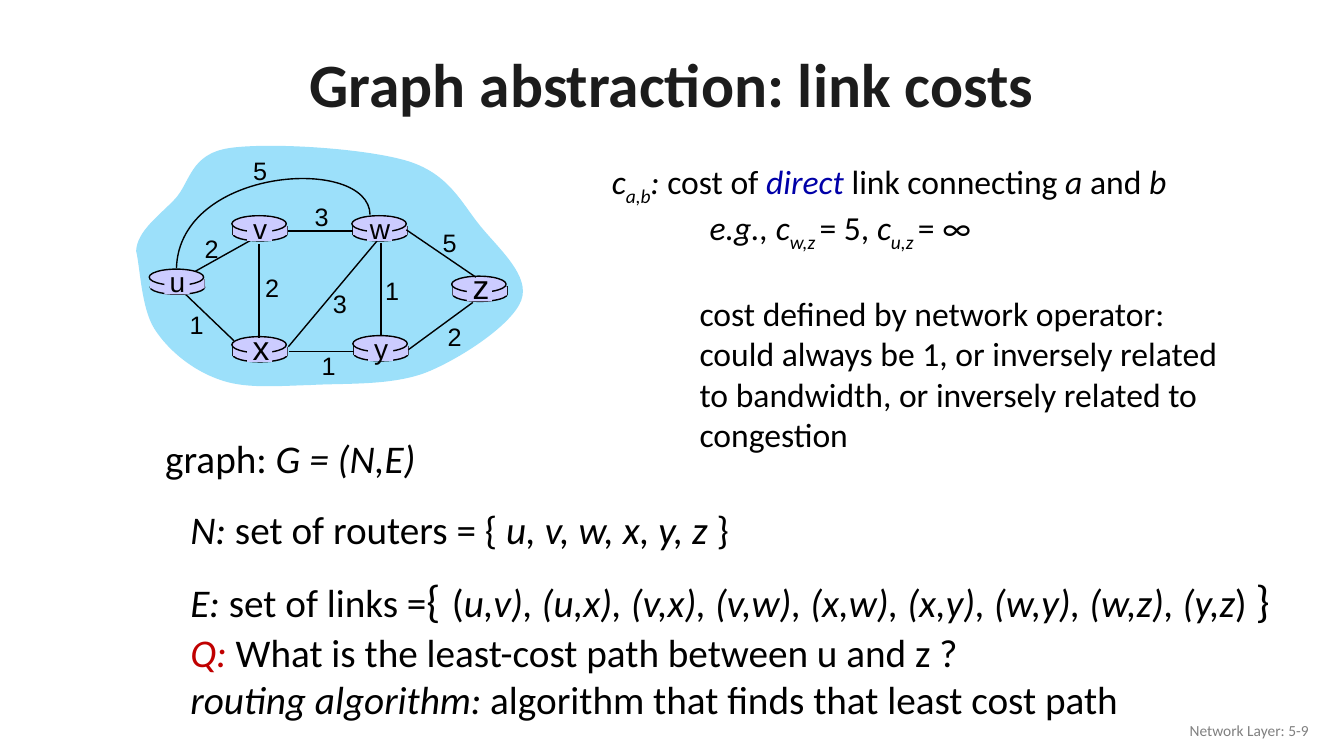
from lxml.etree import SubElement
from pptx import Presentation
from pptx.dml.color import RGBColor
from pptx.enum.shapes import MSO_CONNECTOR, MSO_SHAPE
from pptx.enum.text import MSO_ANCHOR, MSO_AUTO_SIZE, PP_ALIGN
from pptx.oxml.ns import qn
from pptx.util import Cm, Pt

COLORS = {
    "ink": "000000", "title": "1C1C1C", "footer": "808080", "cloud": "9CE0FA",
    "router": "CCCCFF", "direct": "0000A8", "question": "C00000",
}
ITALIC = {"italic": True}
SUB = {"italic": True, "baseline": -25000}
BODY = {"name": "Calibri", "size": Pt(28)}
NOTE = {"name": "Calibri", "size": Pt(24)}
COST = {"name": "Arial", "size": Pt(18)}

# Top left corner of each router, then the size and box width of its letter
ROUTERS = {
    "u": (1.48, 2.67, 20, 0.36), "y": (3.5, 3.33, 20, 0.34),
    "x": (2.3, 3.34, 24, 0.37), "w": (3.49, 2.14, 20, 0.4),
    "v": (2.3, 2.14, 20, 0.34), "z": (4.48, 2.74, 24, 0.37),
}
LINK_BEHIND = (1.94, 2.69, 2.53, 2.36)
LINKS = [
    (3.78, 2.41, 3.78, 3.32), (2.57, 2.42, 2.57, 3.35),
    (2.86, 3.44, 3.74, 2.39), (4.05, 3.47, 4.69, 3.0),
    (3.51, 3.49, 2.87, 3.49), (2.32, 3.38, 1.84, 2.92),
    (3.5, 2.29, 2.86, 2.29), (4.72, 2.75, 4.03, 2.28),
]
COSTS = [
    ("2", 1.93, 2.27), ("2", 2.53, 2.65), ("1", 1.78, 3.02), ("3", 3.2, 2.81),
    ("1", 3.09, 3.43), ("1", 3.72, 2.68), ("2", 4.34, 3.14), ("5", 4.29, 2.21),
    ("3", 3.02, 1.95), ("5", 2.41, 1.49),
]
# Each curve is two control points and an end
CLOUD_START = (1.35, 2.49)
CLOUD_CURVES = [
    (1.36, 2.29, 1.58, 2.14, 1.74, 1.97), (1.89, 1.8, 1.89, 1.53, 2.27, 1.47),
    (2.66, 1.41, 3.63, 1.47, 4.05, 1.6), (4.46, 1.73, 4.58, 2.02, 4.77, 2.25),
    (4.96, 2.48, 5.26, 2.74, 5.17, 2.98), (5.08, 3.22, 4.58, 3.55, 4.24, 3.69),
    (3.89, 3.83, 3.42, 3.8, 3.08, 3.82), (2.73, 3.83, 2.42, 3.86, 2.16, 3.76),
    (1.91, 3.67, 1.67, 3.48, 1.53, 3.26), (1.4, 3.05, 1.39, 2.65, 1.35, 2.49),
]
ARC_START = (3.67, 2.13)
ARC_CURVES = [(3.66, 1.54, 1.78, 1.65, 1.75, 2.66)]


def inches(*values):
    """Lengths in inches, given as centimetres."""
    return [Cm(value * 2.54) for value in values]


def rgb(name):
    return RGBColor.from_string(COLORS[name])


def paint(shape, fill=None, line=None):
    shape.shadow.inherit = False
    if fill:
        shape.fill.solid()
        shape.fill.fore_color.rgb = rgb(fill)
    else:
        shape.fill.background()
    if line:
        shape.line.color.rgb = rgb(line)
        shape.line.width = Pt(1)
    else:
        shape.line.fill.background()


def add_preset(shapes, preset, box, fill, line=None):
    paint(shapes.add_shape(preset, *inches(*box)), fill, line)


def add_link(shapes, ends):
    link = shapes.add_connector(MSO_CONNECTOR.STRAIGHT, *inches(*ends))
    link.line.color.rgb = rgb("ink")
    link.line.width = Pt(1)
    SubElement(link._element.spPr, qn("a:effectLst"))


def add_curve(shapes, start, curves, close, fill=None, line=None):
    """Outline whose points, taken three at a time, become cubic curves."""
    points = [inches(*curve[i:i + 2]) for curve in curves for i in (0, 2, 4)]
    builder = shapes.build_freeform(*inches(*start), scale=1.0)
    builder.add_line_segments(points, close=close)
    outline = builder.convert_to_shape()
    segments = list(outline._element.iter(qn("a:lnTo")))
    for first in range(0, len(points), 3):
        cubic = segments[first].makeelement(qn("a:cubicBezTo"))
        segments[first].addprevious(cubic)
        for segment in segments[first:first + 3]:
            cubic.append(segment[0])
            segment.getparent().remove(segment)
    paint(outline, fill, line)


def add_text(shapes, box, paragraphs, style, align=PP_ALIGN.LEFT,
             anchor=MSO_ANCHOR.TOP, wrap=True):
    """Text box; each paragraph is a list of (text, run style) pairs."""
    frame = shapes.add_textbox(*inches(*box)).text_frame
    frame.word_wrap = wrap
    frame.vertical_anchor = anchor
    if not wrap:
        frame.auto_size = MSO_AUTO_SIZE.SHAPE_TO_FIT_TEXT
    for index, runs in enumerate(paragraphs):
        paragraph = frame.add_paragraph() if index else frame.paragraphs[0]
        paragraph.alignment = align
        for text, extra in runs:
            run = paragraph.add_run()
            run.text = text
            formats = {"color": "ink", **style, **extra}
            run.font.color.rgb = rgb(formats.pop("color"))
            if "baseline" in formats:
                run.font._element.set("baseline", str(formats.pop("baseline")))
            for attribute, value in formats.items():
                setattr(run.font, attribute, value)
    return frame.paragraphs


def add_router(shapes, left, top):
    side = left + 0.01
    add_preset(shapes, MSO_SHAPE.OVAL, (side, top + 0.11, 0.54, 0.14), "router", "ink")
    for x in (side, side + 0.54):
        add_link(shapes, (x, top + 0.1, x, top + 0.19))
    add_preset(shapes, MSO_SHAPE.RECTANGLE, (side, top + 0.1, 0.54, 0.09), "router")
    add_preset(shapes, MSO_SHAPE.OVAL, (left, top, 0.54, 0.16), "router", "ink")


def add_letter(shapes, letter, left, top, size, width):
    add_preset(shapes, MSO_SHAPE.RECTANGLE, (left + 0.15, top + 0.02, 0.25, 0.23), "router")
    middle, rise, height = (0.29, 0.15, 0.5) if size == 24 else (0.28, 0.09, 0.43)
    add_text(shapes, (left + middle - width / 2, top - rise, width, height),
             [[(letter, {})]], {"name": "Arial", "size": Pt(size)},
             PP_ALIGN.CENTER, wrap=False)


def add_network(shapes):
    add_curve(shapes, CLOUD_START, CLOUD_CURVES, True, fill="cloud")
    add_link(shapes, LINK_BEHIND)
    for left, top, *_ in ROUTERS.values():
        add_router(shapes, left, top)
    for ends in LINKS:
        add_link(shapes, ends)
    add_curve(shapes, ARC_START, ARC_CURVES, False, line="ink")
    for letter, place in ROUTERS.items():
        add_letter(shapes, letter, *place)
    for cost, left, top in COSTS:
        add_text(shapes, (left, top, 0.34, 0.4), [[(cost, {})]], COST,
                 PP_ALIGN.CENTER, wrap=False)


def add_cost_notes(shapes):
    _, example, operator = add_text(shapes, (5.97, 1.55, 6.44, 2.93), [
        [("c", ITALIC), ("a,b", SUB), (": ", ITALIC), ("cost of ", {}),
         ("direct", {**ITALIC, "color": "direct"}), (" link connecting ", {}),
         ("a", ITALIC), (" and ", {}), ("b", ITALIC)],
        [("e.g., c", ITALIC), ("w,z ", SUB), ("= 5, ", {}),
         ("c", ITALIC), ("u,z ", SUB), ("= ∞", {})],
        [("cost defined by network operator: could always be 1, or inversely "
          "related to bandwidth, or inversely related to congestion", {})],
    ], NOTE)
    for paragraph, indent in ((example, 0.97), (operator, 0.87)):
        paragraph._p.get_or_add_pPr().set("marL", str(inches(indent)[0]))
    operator.space_before = Pt(28.5)


def add_definitions(shapes):
    brace = {"size": Pt(32)}
    add_text(shapes, (1.54, 4.26, 2.71, 1.04),
             [[("graph: ", {}), ("G = (N,E)", ITALIC)]], BODY)
    add_text(shapes, (1.79, 4.96, 5.59, 0.57), [
        [("N: ", ITALIC), ("set of routers = { ", {}),
         ("u, v, w, x, y, z ", ITALIC), ("}", {})]], BODY)
    add_text(shapes, (1.79, 5.58, 11.04, 2.12), [
        [("E: ", ITALIC), ("set of links =", {}), ("{", brace),
         (" ", {"size": Pt(36)}), ("(", {}),
         ("u,v), (u,x), (v,x), (v,w), (x,w), (x,y), (w,y), (w,z), (y,z", ITALIC),
         (") ", {}), ("}", brace)],
        [("Q: ", {**ITALIC, "color": "question"}),
         ("What is the least-cost path between u and z ?", {})],
        [("routing algorithm:", ITALIC),
         (" algorithm that finds that least cost path", {})],
    ], BODY)


def main():
    deck = Presentation()
    deck.slide_width, deck.slide_height = inches(13.33, 7.5)
    shapes = deck.slides.add_slide(deck.slide_layouts[6]).shapes
    title, = add_text(shapes, (0.92, 0.38, 11.49, 0.98),
                      [[("Graph abstraction: link costs", {})]],
                      {"name": "Calibri", "size": Pt(44), "bold": True, "color": "title"},
                      PP_ALIGN.CENTER, MSO_ANCHOR.MIDDLE)
    title.line_spacing = 0.9
    add_text(shapes, (10.08, 7.05, 3, 0.4), [[("Network Layer: 5-9", {})]],
             {"name": "Calibri", "size": Pt(11), "color": "footer"},
             PP_ALIGN.RIGHT, MSO_ANCHOR.MIDDLE)
    add_network(shapes.add_group_shape().shapes)
    add_cost_notes(shapes)
    add_definitions(shapes)
    deck.save("out.pptx")


if __name__ == "__main__":
    main()
